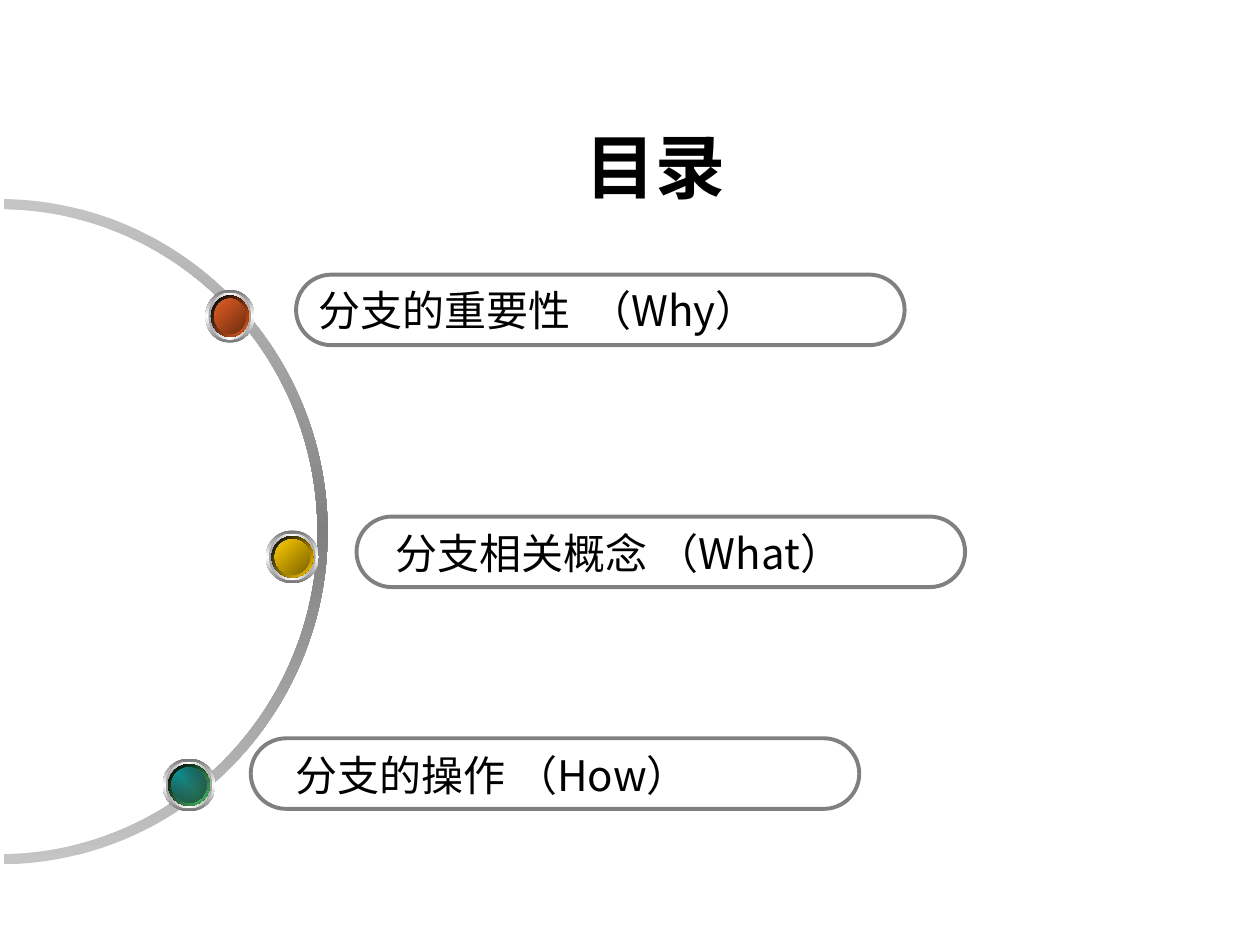
"""Build a contents slide with three pill-shaped entries along a curved track."""
from lxml.etree import SubElement
from pptx import Presentation
from pptx.dml.color import RGBColor
from pptx.enum.shapes import MSO_SHAPE as Shape
from pptx.enum.text import MSO_ANCHOR as Anchor, PP_ALIGN as Align
from pptx.oxml.ns import qn
from pptx.util import Inches, Pt

BLACK = RGBColor(0x00, 0x00, 0x00)
WHITE = RGBColor(0xFF, 0xFF, 0xFF)
GRAY = RGBColor(0x80, 0x80, 0x80)
SILVER = RGBColor(0xC5, 0xC5, 0xC5)
RIM = RGBColor(0x76, 0x76, 0x76)
RING = RGBColor(0xA2, 0xA2, 0xA2)
TEAL = RGBColor(0x00, 0x99, 0x99)
DARK_TEAL = RGBColor(0x00, 0x53, 0x53)
ORANGE = RGBColor(0xE3, 0x5E, 0x23)
BROWN = RGBColor(0x6E, 0x2E, 0x11)
YELLOW = RGBColor(0xFF, 0xCC, 0x00)
OLIVE = RGBColor(0x7C, 0x63, 0x00)
GREEN = RGBColor(0x48, 0xBE, 0x67)
DARK_GREEN = RGBColor(0x23, 0x5C, 0x32)
CHARCOAL = RGBColor(0x59, 0x59, 0x59)

FONT = "Noto Sans CJK SC"
TITLE = ("目录", (0.7, 0.93, 9, 0.71))
PILL_SIZE = (4.83, 0.56)
ENTRIES = [
    dict(text="分支的重要性  （Why）", pill=(2.35, 2.18), label=None, spacing=None,
         dot=(1.63, 2.3, 0.39, 0.42), glow=ORANGE, face=(ORANGE, BROWN), clear=False),
    dict(text="分支相关概念 （What）", pill=(2.83, 4.1), label=(3.04, 4.14, 4.01, 0.5),
         spacing=None, dot=(2.11, 4.21, 0.42, 0.42), glow=YELLOW,
         face=(YELLOW, OLIVE), clear=False),
    dict(text="分支的操作 （How）", pill=(1.99, 5.86), label=(2.25, 5.86, 3.48, 0.54),
         spacing=1.1, dot=(1.29, 6.02, 0.42, 0.42), glow=GREEN,
         face=(CHARCOAL, DARK_GREEN), clear=True),
]
TRACK_BOX = (-2.62, 1.58, 5.22, 5.28)
TRACK_START = (0.03, 1.66)
TRACK_SEGMENTS = [
    [(1.41, 1.68), (2.52, 2.82), (2.52, 4.22)],
    [(2.52, 5.62), (1.41, 6.76), (0.03, 6.78)],
    [(0.03, 6.86)],
    [(1.45, 6.84), (2.6, 5.66), (2.6, 4.22)],
    [(2.6, 2.78), (1.45, 1.6), (0.03, 1.58)],
]


def fill_gradient(shape, colors, angle, clear_start=False):
    """Fill a shape with evenly spaced gradient stops and no outline."""
    shape.shadow.inherit = False
    shape.line.fill.background()
    shape.fill.gradient()
    gradient = shape._element.spPr.find(qn("a:gradFill"))
    for child in list(gradient):
        gradient.remove(child)
    stops = SubElement(gradient, qn("a:gsLst"))
    for index, color in enumerate(colors):
        position = 100000 * index // (len(colors) - 1)
        stop = SubElement(stops, qn("a:gs"), pos=str(position))
        value = SubElement(stop, qn("a:srgbClr"), val=str(color))
        if clear_start and index == 0:
            SubElement(value, qn("a:alpha"), val="0")
    SubElement(gradient, qn("a:lin"), ang=str(angle * 60000), scaled="0")


def add_track(slide):
    """Draw the curved band as a freeform with cubic sides."""
    left, top, width, height = map(Inches, TRACK_BOX)
    builder = slide.shapes.build_freeform(*map(Inches, TRACK_START), scale=1.0)
    builder.add_line_segments(
        [tuple(map(Inches, segment[-1])) for segment in TRACK_SEGMENTS], close=True)
    track = builder.convert_to_shape()
    track.left, track.top, track.width, track.height = left, top, width, height
    outline = next(track._element.iter(qn("a:path")))
    outline.set("w", str(width))
    outline.set("h", str(height))
    for child in list(outline):
        outline.remove(child)
    for index, segment in enumerate([[TRACK_START]] + TRACK_SEGMENTS):
        kind = "cubicBezTo" if len(segment) == 3 else "lnTo" if index else "moveTo"
        command = SubElement(outline, qn("a:" + kind))
        for x, y in segment:
            SubElement(command, qn("a:pt"), x=str(Inches(x) - left),
                       y=str(Inches(y) - top))
    SubElement(outline, qn("a:close"))
    fill_gradient(track, (SILVER, GRAY, SILVER), 90)


def add_dot(slide, entry):
    """Stack the shaded ellipses of one button in a group."""
    left, top, width, height = entry["dot"]
    layers = [
        (0, (RIM, WHITE, RIM), 90, False),
        (0.05, (RING, WHITE, RING), 0, False),
        (0.09, (WHITE, TEAL, WHITE), 45, False),
        (0.09, (BLACK, entry["glow"]), 45, False),
        (0.14, (DARK_TEAL, TEAL, DARK_TEAL), 315, False),
        (0.14, entry["face"], 45, entry["clear"]),
    ]
    group = slide.shapes.add_group_shape()
    for shrink, colors, angle, clear in layers:
        ellipse = group.shapes.add_shape(
            Shape.OVAL, Inches(left + shrink / 2), Inches(top + shrink / 2),
            Inches(width - shrink), Inches(height - shrink))
        fill_gradient(ellipse, colors, angle, clear)


def add_pill(slide, position):
    """Draw one outlined pill."""
    pill = slide.shapes.add_shape(
        Shape.ROUNDED_RECTANGLE, *map(Inches, position + PILL_SIZE))
    pill.adjustments[0] = 0.5
    pill.shadow.inherit = False
    pill.fill.background()
    pill.line.color.rgb = GRAY
    pill.line.width = Pt(2.25)
    return pill


def write_text(shape, text, size, font=FONT, bold=False, align=Align.LEFT,
               anchor=Anchor.TOP, wrap=False, spacing=None):
    """Write one formatted line into a shape."""
    frame = shape.text_frame
    frame.word_wrap = wrap
    frame.vertical_anchor = anchor
    paragraph = frame.paragraphs[0]
    paragraph.alignment = align
    if spacing:
        paragraph.line_spacing = spacing
    run = paragraph.add_run()
    run.text = text
    run.font.size = Pt(size)
    run.font.bold = bold
    run.font.color.rgb = BLACK
    run.font.name = font
    SubElement(run.font._element, qn("a:ea"), typeface=font)


def main():
    """Assemble and save the slide."""
    presentation = Presentation()
    presentation.slide_width = Inches(10)
    presentation.slide_height = Inches(7.5)
    slide = presentation.slides.add_slide(presentation.slide_layouts[6])
    add_track(slide)
    text, box = TITLE
    title = slide.shapes.add_textbox(*map(Inches, box))
    title.text_frame.margin_top = Inches(0.11)
    write_text(title, text, 40, "Arial", bold=True, align=Align.CENTER,
               anchor=Anchor.MIDDLE, wrap=True)
    for entry in ENTRIES:
        add_dot(slide, entry)
        pill = add_pill(slide, entry["pill"])
        if entry["label"]:
            label = slide.shapes.add_textbox(*map(Inches, entry["label"]))
            write_text(label, entry["text"], 24, spacing=entry["spacing"])
        else:
            write_text(pill, entry["text"], 24, anchor=Anchor.MIDDLE)
    presentation.save("out.pptx")


if __name__ == "__main__":
    main()
